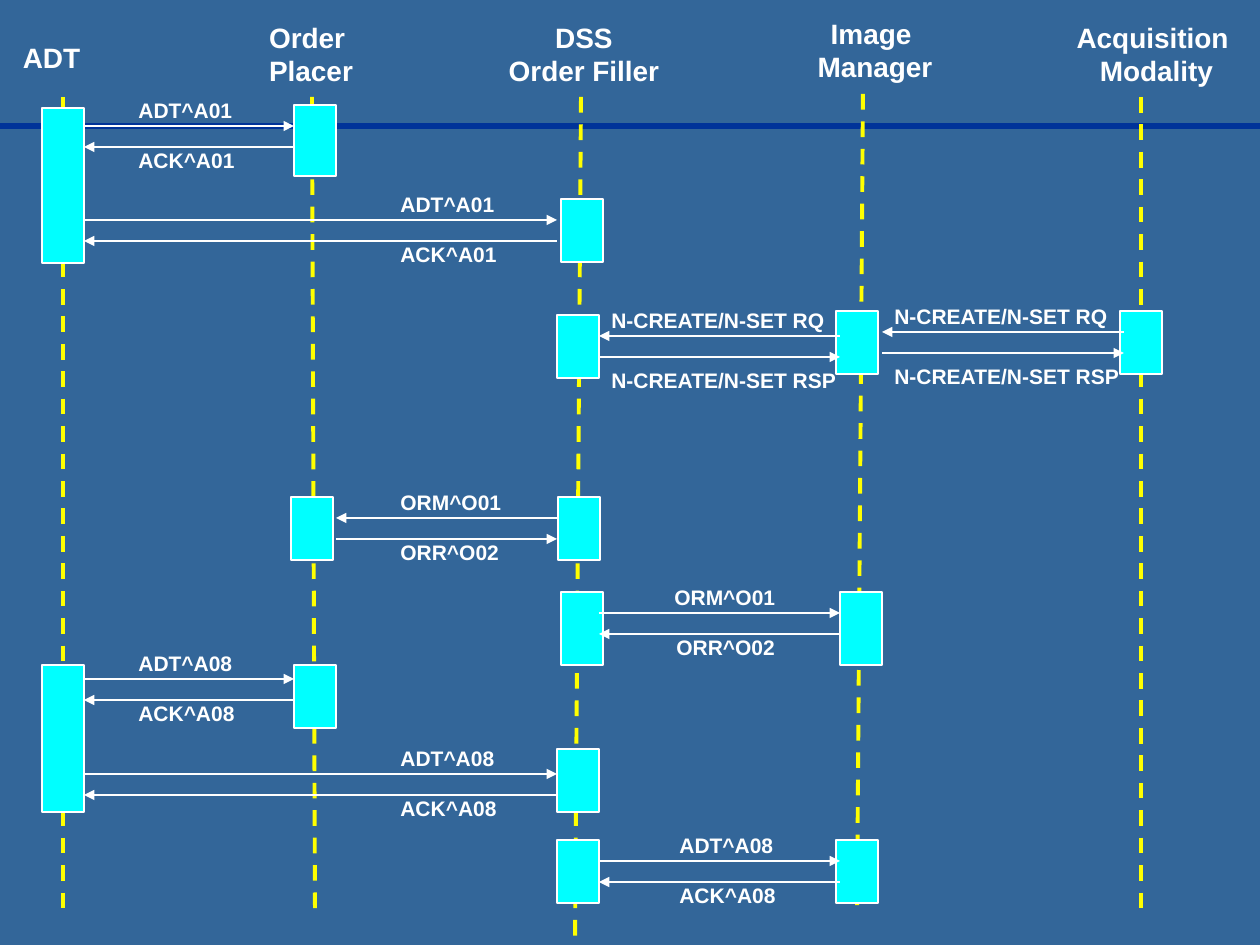
from lxml import etree
from pptx import Presentation
from pptx import util as u
from pptx.dml.color import RGBColor
from pptx.enum import dml, shapes, text
from pptx.oxml.ns import qn

PX = 914400 / 126  # EMU per px
BACKGROUND = RGBColor(0x33, 0x66, 0x99)
NAVY = RGBColor(0x00, 0x33, 0x99)
YELLOW = RGBColor(0xFF, 0xFF, 0x00)
CYAN = RGBColor(0x00, 0xFF, 0xFF)
WHITE = RGBColor(0xFF, 0xFF, 0xFF)


def add_line(parent, x1, y1, x2, y2, color, width, dash=None, arrow=False):
    ends = [round(v * PX) for v in (x1, y1, x2, y2)]
    line = parent.add_connector(shapes.MSO_CONNECTOR.STRAIGHT, *ends)
    line.line.color.rgb = color
    line.line.width = u.Pt(width)
    if dash:
        line.line.dash_style = dash
    if arrow:
        etree.SubElement(line.line._get_or_add_ln(), qn("a:tailEnd"), type="triangle")
    etree.SubElement(line._element.spPr, qn("a:effectLst"))


def add_label(parent, x, y, w, h, lines, size, align):
    box = parent.add_textbox(*[round(v * PX) for v in (x, y, w, h)])
    tf = box.text_frame
    tf.word_wrap = False
    tf.auto_size = text.MSO_AUTO_SIZE.SHAPE_TO_FIT_TEXT
    tf.text = "\n".join(lines)
    for p in tf.paragraphs:
        p.alignment = align
        p.font.name = "Arial"
        p.font.size = u.Pt(size)
        p.font.bold = True
        p.font.color.rgb = WHITE


prs = Presentation()
prs.slide_width = u.Inches(10)
prs.slide_height = u.Inches(7.5)
s = prs.slides.add_slide(prs.slide_layouts[6])
s.background.fill.solid()
s.background.fill.fore_color.rgb = BACKGROUND

add_line(s.shapes, 0, 126, 1260, 126, NAVY, 3)

# Actors: heading x, y, width, height, lines; lifeline x1, y1, x2, y2
actors = [
    (10, 34, 83, 47, ["ADT"], 63, 97, 63, 916),
    (256, 14, 110, 81, ["Order ", "Placer"], 312, 97, 315, 916),
    (496, 14, 176, 81, ["DSS", "Order Filler"], 581, 97, 575, 945),
    (805, 10, 140, 81, ["Image ", "Manager"], 863, 94, 857, 916),
    (1064, 14, 185, 81, ["Acquisition ", "Modality"], 1141, 97, 1141, 916),
]
for x, y, w, h, lines, *lifeline in actors:
    add_label(s.shapes, x, y, w, h, lines, 16, text.PP_ALIGN.CENTER)
    add_line(s.shapes, *lifeline, YELLOW, 2.25, dml.MSO_LINE.DASH)

# Activation bars: x, y, height
BAR_W = 42
bars = [
    (42, 108, 155), (42, 665, 147),
    (294, 105, 71), (291, 497, 63), (294, 665, 63),
    (561, 199, 63), (557, 315, 63), (558, 497, 63),
    (561, 592, 73), (557, 749, 63), (557, 840, 63),
    (836, 311, 63), (840, 592, 73), (836, 840, 63),
    (1120, 311, 63),
]
for x, y, h in bars:
    bar = s.shapes.add_shape(
        shapes.MSO_SHAPE.RECTANGLE, *[round(v * PX) for v in (x, y, BAR_W, h)])
    bar.shadow.inherit = False
    bar.fill.solid()
    bar.fill.fore_color.rgb = CYAN
    bar.line.color.rgb = WHITE
    bar.line.width = u.Pt(0.75)

# Exchanges: sender x, receiver x, request y, request and reply label x, messages
ADT_NEW = ("ADT^A01", "ACK^A01")
ADT_UPDATE = ("ADT^A08", "ACK^A08")
ORDER = ("ORM^O01", "ORR^O02")
STEP = ("N-CREATE/N-SET RQ", "N-CREATE/N-SET RSP")
LABEL_W = {"ADT": 121, "ACK": 124, "ORM": 129, "ORR": 126}
STEP_W = {"N-CREATE/N-SET RQ": 240, "N-CREATE/N-SET RSP": 253}
LABEL_H = 38
REPLY_GAP = 21
exchanges = [
    (84, 294, 126, 126, 126, ADT_NEW),
    (84, 557, 220, 388, 388, ADT_NEW),
    (1124, 882, 332, 882, 882, STEP),
    (840, 599, 336, 599, 599, STEP),
    (557, 336, 518, 388, 388, ORDER),
    (599, 840, 613, 662, 664, ORDER),
    (84, 294, 679, 126, 126, ADT_UPDATE),
    (84, 557, 774, 388, 388, ADT_UPDATE),
    (599, 840, 861, 667, 667, ADT_UPDATE),
]
for sender, receiver, y, request_x, reply_x, messages in exchanges:
    group = s.shapes.add_group_shape().shapes
    reply_y = y + REPLY_GAP
    add_line(group, sender, y, receiver, y, WHITE, 0.75, arrow=True)
    add_line(group, receiver, reply_y, sender, reply_y, WHITE, 0.75, arrow=True)
    label_ys = (y - 35, y + (25 if messages == STEP else 15))
    for message, x, label_y in zip(messages, (request_x, reply_x), label_ys):
        w = STEP_W.get(message) or LABEL_W[message[:3]]
        add_label(group, x, label_y, w, LABEL_H, [message], 12, text.PP_ALIGN.LEFT)

prs.save("out.pptx")
